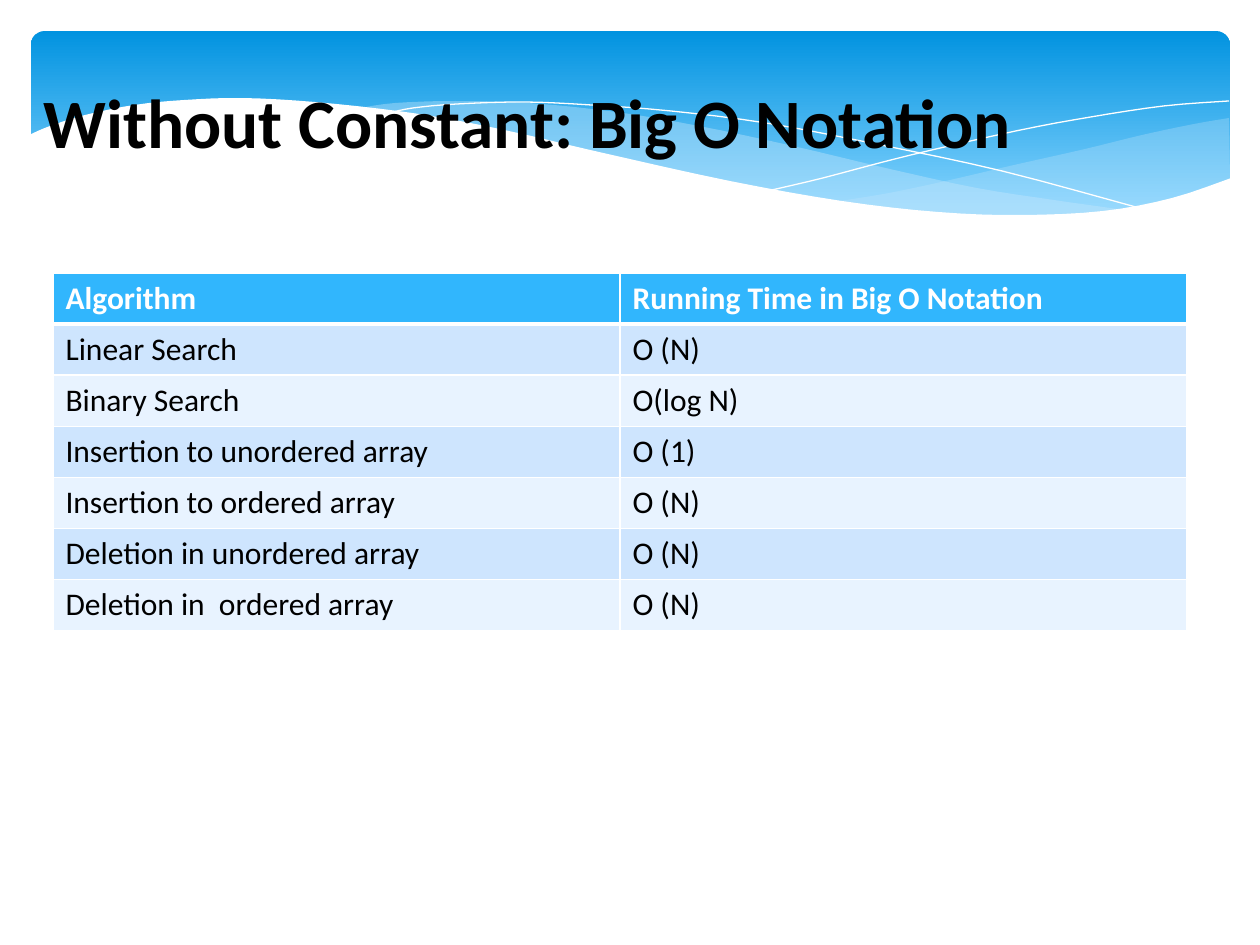
"""Build a slide with a wave banner, a title and a table of running times."""
from dataclasses import dataclass
from typing import Optional

from lxml import etree
from pptx import Presentation
from pptx.dml.color import RGBColor
from pptx.enum.shapes import MSO_SHAPE
from pptx.enum.text import MSO_ANCHOR, PP_ALIGN
from pptx.oxml.ns import qn
from pptx.util import Pt

ROUND = MSO_SHAPE.ROUNDED_RECTANGLE
MIDDLE = MSO_ANCHOR.MIDDLE
LEFT = PP_ALIGN.LEFT

WHITE = RGBColor(0xFF, 0xFF, 0xFF)
BLACK = RGBColor(0, 0, 0)
DEEP = RGBColor(0x02, 0x93, 0xE0)
SKY = RGBColor(0x83, 0xD3, 0xFE)
MIST = RGBColor(0xC6, 0xE7, 0xFC)
HEAD = RGBColor(0x31, 0xB6, 0xFD)
BANDS = (RGBColor(0xE8, 0xF3, 0xFF), RGBColor(0xCE, 0xE5, 0xFE))
FONT = "Calibri"
EMU = 914400 / 126
STEPS = 4

Point = tuple[float, float]


@dataclass
class Wave:
    curves: list[list[Point]]
    fill: Optional[RGBColor] = None
    alpha: int = 100


WAVES = [
    Wave([[(1229, 118), (1194, 124), (1142, 135), (1085, 149), (1014, 165),
           (950, 180), (889, 193), (833, 202)],
          [(833, 202), (906, 210), (984, 216), (1038, 217), (1088, 214),
           (1135, 207), (1178, 197), (1230, 178)]], MIST, 29),
    Wave([[(1125, 210), (1054, 200), (977, 188), (890, 169), (793, 146),
           (699, 126), (616, 112), (529, 103), (455, 101), (395, 103),
           (360, 108)],
          [(360, 108), (431, 118), (509, 133), (566, 146), (668, 170),
           (757, 189), (838, 203), (909, 211), (974, 216), (1031, 218),
           (1080, 217), (1125, 210)]], MIST, 40),
    Wave([[(389, 113), (413, 108), (457, 104), (524, 102), (591, 105),
           (671, 111), (766, 123), (876, 144), (1002, 171), (1143, 209)]]),
    Wave([[(772, 190), (823, 178), (907, 156), (1016, 131), (1091, 117),
           (1164, 106), (1229, 101)]]),
    Wave([[(1231, 178), (1172, 198), (1103, 211), (1020, 215), (938, 212),
           (842, 201), (730, 181), (599, 152), (527, 135), (460, 121),
           (398, 111), (315, 102), (243, 98), (184, 100), (134, 105),
           (85, 115), (50, 126), (29, 135)],
          [(29, 282), (1231, 282)]], WHITE),
]

ROWS = [
    ("Algorithm", "Running Time in Big O Notation"),
    ("Linear Search", "O (N)"),
    ("Binary Search", "O(log N)"),
    ("Insertion to unordered array", "O (1)"),
    ("Insertion to ordered array", "O (N)"),
    ("Deletion in unordered array", "O (N)"),
    ("Deletion in  ordered array", "O (N)"),
]


def px(*sizes: float) -> list[int]:
    """Turn pixels into EMU."""
    return [round(size * EMU) for size in sizes]


def smooth(knots: list[Point]) -> list[Point]:
    """Run a Catmull-Rom curve through the knots."""
    ends = [knots[0], *knots, knots[-1]]
    points = [knots[0]]
    for a, b, c, d in zip(ends, ends[1:], ends[2:], ends[3:]):
        for step in range(1, STEPS + 1):
            t = step / STEPS
            points.append(tuple(
                (2 * q + (r - p) * t + (2 * p - 5 * q + 4 * r - s) * t ** 2
                 + (3 * q - p - 3 * r + s) * t ** 3) / 2
                for p, q, r, s in zip(a, b, c, d)))
    return points


def draw_wave(shapes, wave: Wave) -> None:
    """Draw a filled wave, or a white hairline if it has no fill."""
    points = [px(*spot) for curve in wave.curves for spot in smooth(curve)]
    pen = shapes.build_freeform(*points[0])
    pen.add_line_segments(points[1:], close=wave.fill is not None)
    shape = pen.convert_to_shape()
    shape.shadow.inherit = False
    if wave.fill is None:
        shape.fill.background()
        shape.line.color.rgb = WHITE
        shape.line.width = 0
        return
    shape.line.fill.background()
    shape.fill.solid()
    shape.fill.fore_color.rgb = wave.fill
    if wave.alpha < 100:
        color = shape._element.spPr.find(".//" + qn("a:srgbClr"))
        etree.SubElement(color, qn("a:alpha"), val=str(wave.alpha * 1000))


def draw_banner(shapes) -> None:
    """Draw the blue panel and its waves."""
    panel = shapes.add_shape(ROUND, *px(31, 31, 1199, 197))
    panel.adjustments[0] = 0.07
    panel.shadow.inherit = False
    panel.line.fill.background()
    panel.fill.gradient()
    panel.fill.gradient_angle = 270
    for stop, color, place in zip(panel.fill.gradient_stops, (DEEP, SKY), (0, 0.9)):
        stop.color.rgb = color
        stop.position = place
    for wave in WAVES:
        draw_wave(shapes, wave)


def style(para, size: float, color: RGBColor, bold: bool) -> None:
    """Set the font of a paragraph."""
    font = para.font
    font.name, font.size, font.bold = FONT, Pt(size), bold
    font.color.rgb = color


def edge(cell, row: int) -> None:
    """Give a cell white borders, thick below the header."""
    props = cell._tc.get_or_add_tcPr()
    for side in "LRTB":
        thick = (row, side) in ((0, "B"), (1, "T"))
        line = etree.SubElement(props, qn("a:ln" + side),
                                w=str(Pt(3 if thick else 1)))
        fill = etree.SubElement(line, qn("a:solidFill"))
        etree.SubElement(fill, qn("a:srgbClr"), val=str(WHITE))


def draw_table(shapes) -> None:
    """Draw the table of running times."""
    frame = shapes.add_table(len(ROWS), 2, *px(53, 273, 1134, 51 * len(ROWS)))
    for i, row in enumerate(ROWS):
        for j, text in enumerate(row):
            cell = frame.table.cell(i, j)
            cell.text = text
            edge(cell, i)
            cell.fill.solid()
            cell.fill.fore_color.rgb = BANDS[i % 2] if i else HEAD
            style(cell.text_frame.paragraphs[0], 18, BLACK if i else WHITE, i == 0)


def main() -> None:
    """Build and save the slide."""
    deck = Presentation()
    deck.slide_width, deck.slide_height = px(1260, 945)
    shapes = deck.slides.add_slide(deck.slide_layouts[5]).shapes
    draw_banner(shapes)
    title = shapes.title
    title.left, title.top, title.width, title.height = px(31, 42, 1134, 157)
    title.text_frame.text = "Without Constant: Big O Notation"
    title.text_frame.vertical_anchor = MIDDLE
    para = title.text_frame.paragraphs[0]
    para.alignment = LEFT
    style(para, 39.6, BLACK, True)
    shapes._spTree.append(title._element)
    draw_table(shapes)
    deck.save("out.pptx")


main()
